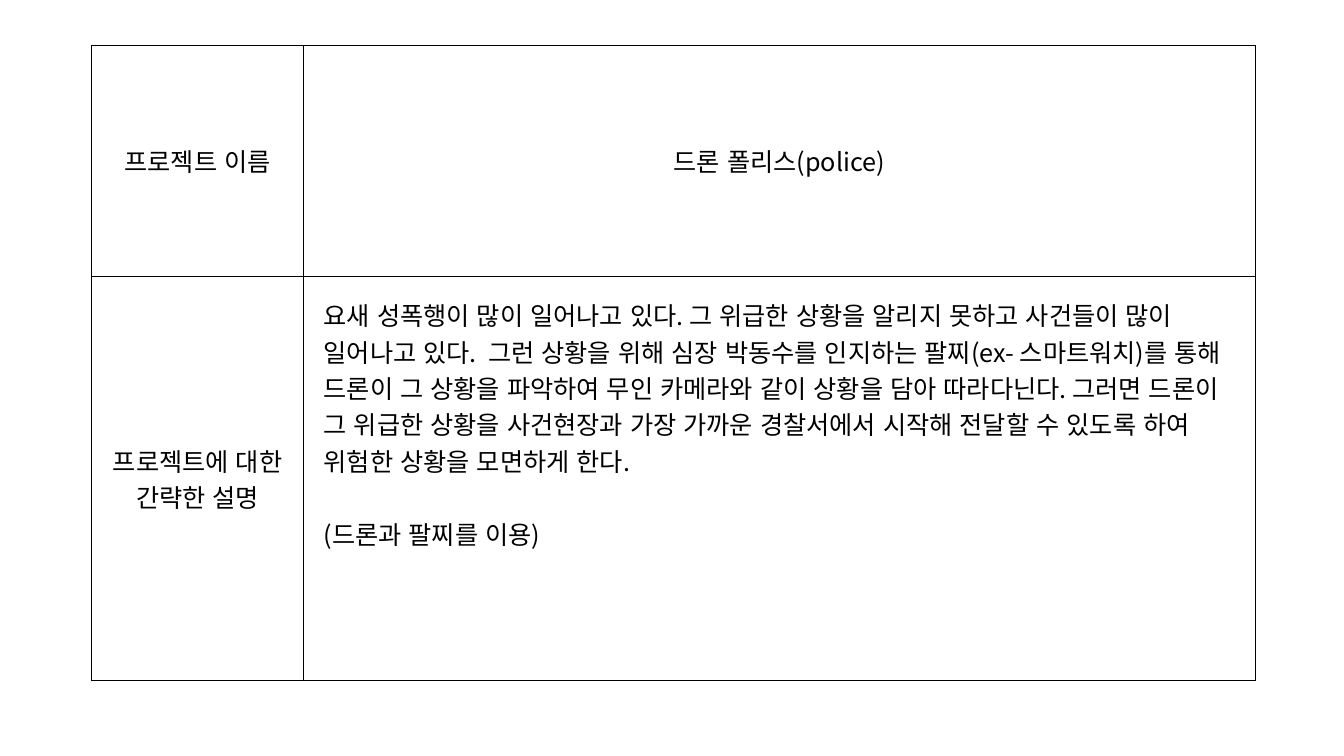
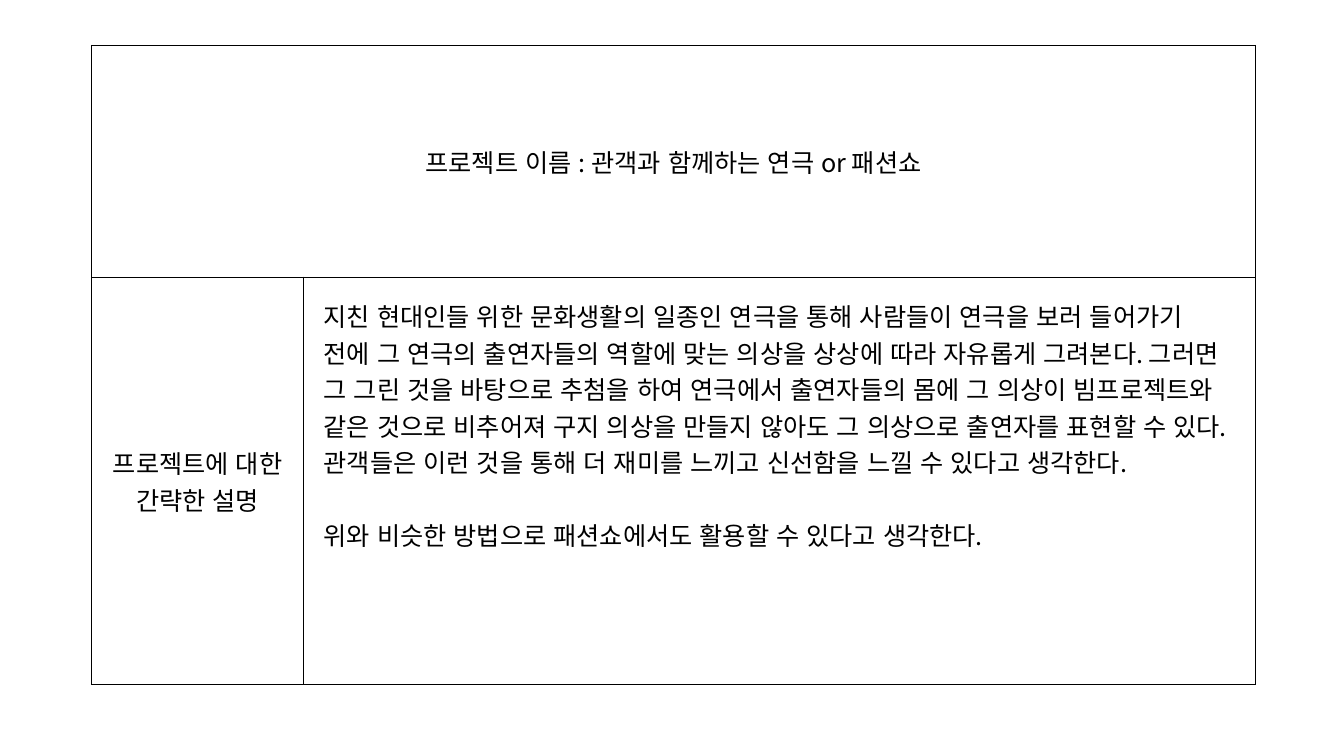
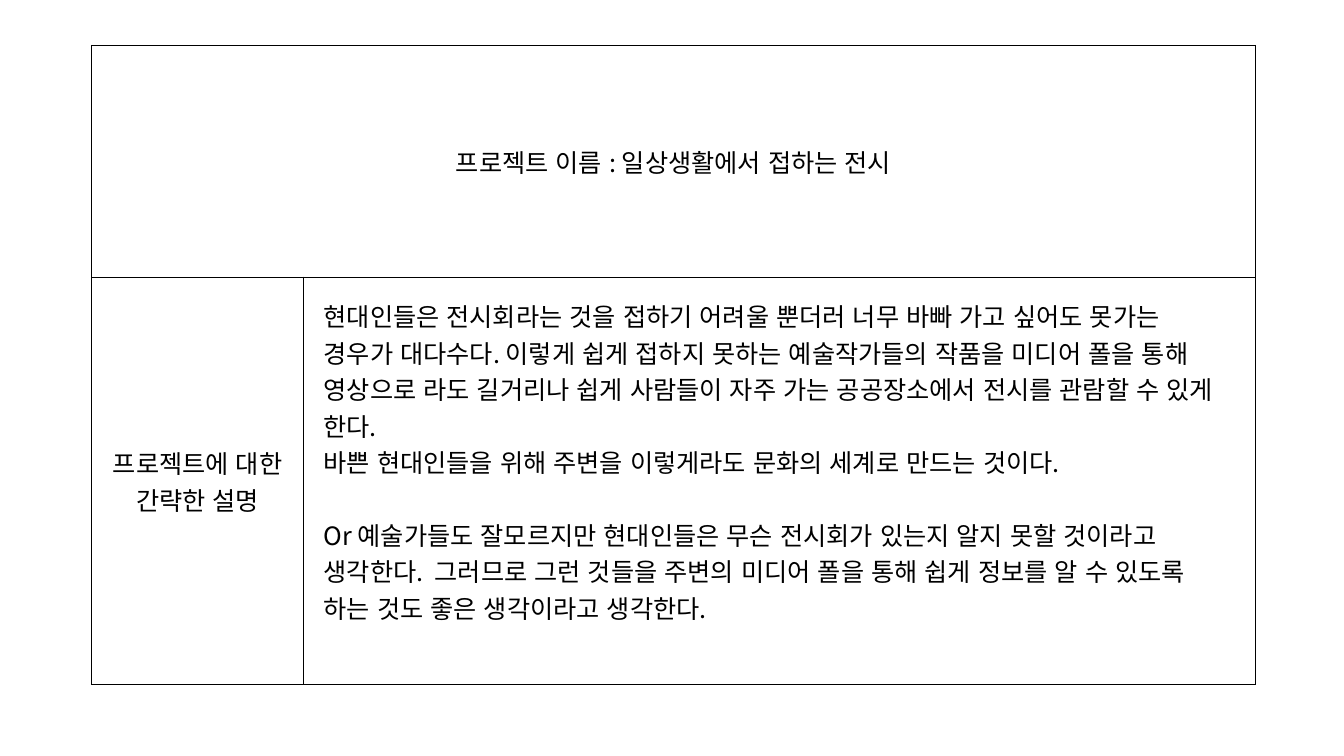
from dataclasses import dataclass

from lxml.etree import SubElement
from pptx import Presentation
from pptx.dml.color import RGBColor
from pptx.enum.lang import MSO_LANGUAGE_ID
from pptx.enum.text import MSO_ANCHOR, PP_ALIGN
from pptx.oxml.ns import qn
from pptx.util import Inches, Pt

# Content: a one-cell head spans both columns; paragraph groups are set apart
NAME_LABEL = "프로젝트 이름"
SUMMARY_LABEL = "프로젝트에 대한 간략한 설명"
PROJECTS = [
    {
        "head": [NAME_LABEL, "드론 폴리스(police)"],
        "rows": (2.29, 4.01),
        "summary": [
            ["요새 성폭행이 많이 일어나고 있다. 그 위급한 상황을 알리지 못하고 사건들이 많이 "
             "일어나고 있다.  그런 상황을 위해 심장 박동수를 인지하는 팔찌(ex- 스마트워치)를 "
             "통해 드론이 그 상황을 파악하여 무인 카메라와 같이 상황을 담아 따라다닌다. 그러면 "
             "드론이 그 위급한 상황을 사건현장과 가장 가까운 경찰서에서 시작해 전달할 수 있도록 "
             "하여 위험한 상황을 모면하게 한다."],
            ["(드론과 팔찌를 이용)"],
        ],
    },
    {
        "head": [f"{NAME_LABEL} : 관객과 함께하는 연극 or 패션쇼"],
        "rows": (2.3, 4.04),
        "summary": [
            ["지친 현대인들 위한 문화생활의 일종인 연극을 통해 사람들이 연극을 보러 들어가기 "
             "전에 그 연극의 출연자들의 역할에 맞는 의상을 상상에 따라 자유롭게 그려본다. 그러면 "
             "그 그린 것을 바탕으로 추첨을 하여 연극에서 출연자들의 몸에 그 의상이 빔프로젝트와 "
             "같은 것으로 비추어져 구지 의상을 만들지 않아도 그 의상으로 출연자를 표현할 수 있다. "
             "관객들은 이런 것을 통해 더 재미를 느끼고 신선함을 느낄 수 있다고 생각한다."],
            ["위와 비슷한 방법으로 패션쇼에서도 활용할 수 있다고 생각한다."],
        ],
    },
    {
        "head": [f"{NAME_LABEL} : 일상생활에서 접하는 전시"],
        "rows": (2.3, 4.04),
        "summary": [
            ["현대인들은 전시회라는 것을 접하기 어려울 뿐더러 너무 바빠 가고 싶어도 못가는 "
             "경우가 대다수다. 이렇게 쉽게 접하지 못하는 예술작가들의 작품을 미디어 폴을 통해 "
             "영상으로 라도 길거리나 쉽게 사람들이 자주 가는 공공장소에서 전시를 관람할 수 있게 "
             "한다.",
             "바쁜 현대인들을 위해 주변을 이렇게라도 문화의 세계로 만드는 것이다."],
            ["Or 예술가들도 잘모르지만 현대인들은 무슨 전시회가 있는지 알지 못할 것이라고 "
             "생각한다.  그러므로 그런 것들을 주변의 미디어 폴을 통해 쉽게 정보를 알 수 있도록 "
             "하는 것도 좋은 생각이라고 생각한다."],
        ],
    },
]


@dataclass(frozen=True)
class Theme:
    font: str = "Noto Sans CJK KR"
    size: int = 18
    group_gap: int = 26
    ink: str = "000000"
    border: int = 1
    inset: float = 0.2
    right_inset: float = 0.21


THEME = Theme()
LEFT, TOP = 0.91, 0.45
COLUMNS = (2.1, 9.44)


def add_paragraph(frame, text, first, align, gap=0):
    para = frame.paragraphs[0] if first else frame.add_paragraph()
    para.alignment = align
    para.space_before = Pt(gap)
    span = para.add_run()
    span.text = text
    span.font.name = THEME.font
    span.font.size = Pt(THEME.size)
    span.font.color.rgb = RGBColor.from_string(THEME.ink)
    span.font.language_id = MSO_LANGUAGE_ID.KOREAN
    # Even word spaces without kerning, and the typeface for Korean letters
    properties = span.font._element
    properties.set("kern", "0")
    SubElement(properties, qn("a:ea"), typeface=THEME.font)


def style_cell(cell):
    properties = cell._tc.get_or_add_tcPr()
    for side in ("a:lnL", "a:lnR", "a:lnT", "a:lnB"):
        line = SubElement(properties, qn(side), w=str(Pt(THEME.border)))
        fill = SubElement(line, qn("a:solidFill"))
        SubElement(fill, qn("a:srgbClr"), val=THEME.ink)
    cell.fill.background()


def fill_label(cell, text):
    cell.vertical_anchor = MSO_ANCHOR.MIDDLE
    add_paragraph(cell.text_frame, text, True, PP_ALIGN.CENTER)


def fill_summary(cell, groups):
    cell.vertical_anchor = MSO_ANCHOR.TOP
    cell.margin_left = cell.margin_top = cell.margin_bottom = Inches(THEME.inset)
    cell.margin_right = Inches(THEME.right_inset)
    for group_index, group in enumerate(groups):
        for index, text in enumerate(group):
            gap = THEME.group_gap if group_index and not index else 0
            first = group_index == index == 0
            add_paragraph(cell.text_frame, text, first, PP_ALIGN.LEFT, gap)


def add_project(deck, project):
    page = deck.slides.add_slide(deck.slide_layouts[6])
    heights = project["rows"]
    table = page.shapes.add_table(
        len(heights), len(COLUMNS), Inches(LEFT), Inches(TOP),
        Inches(sum(COLUMNS)), Inches(sum(heights))).table
    table.first_row = table.horz_banding = False
    for column, width in zip(table.columns, COLUMNS):
        column.width = Inches(width)
    for row, height in zip(table.rows, heights):
        row.height = Inches(height)
    for cell in table.iter_cells():
        style_cell(cell)

    # Project name above, summary below
    if len(project["head"]) == 1:
        table.cell(0, 0).merge(table.cell(0, 1))
    for column, text in enumerate(project["head"]):
        fill_label(table.cell(0, column), text)
    fill_label(table.cell(1, 0), SUMMARY_LABEL)
    fill_summary(table.cell(1, 1), project["summary"])


def main():
    deck = Presentation()
    deck.slide_width, deck.slide_height = Inches(13.33), Inches(7.5)
    for project in PROJECTS:
        add_project(deck, project)
    deck.save("out.pptx")


if __name__ == "__main__":
    main()
